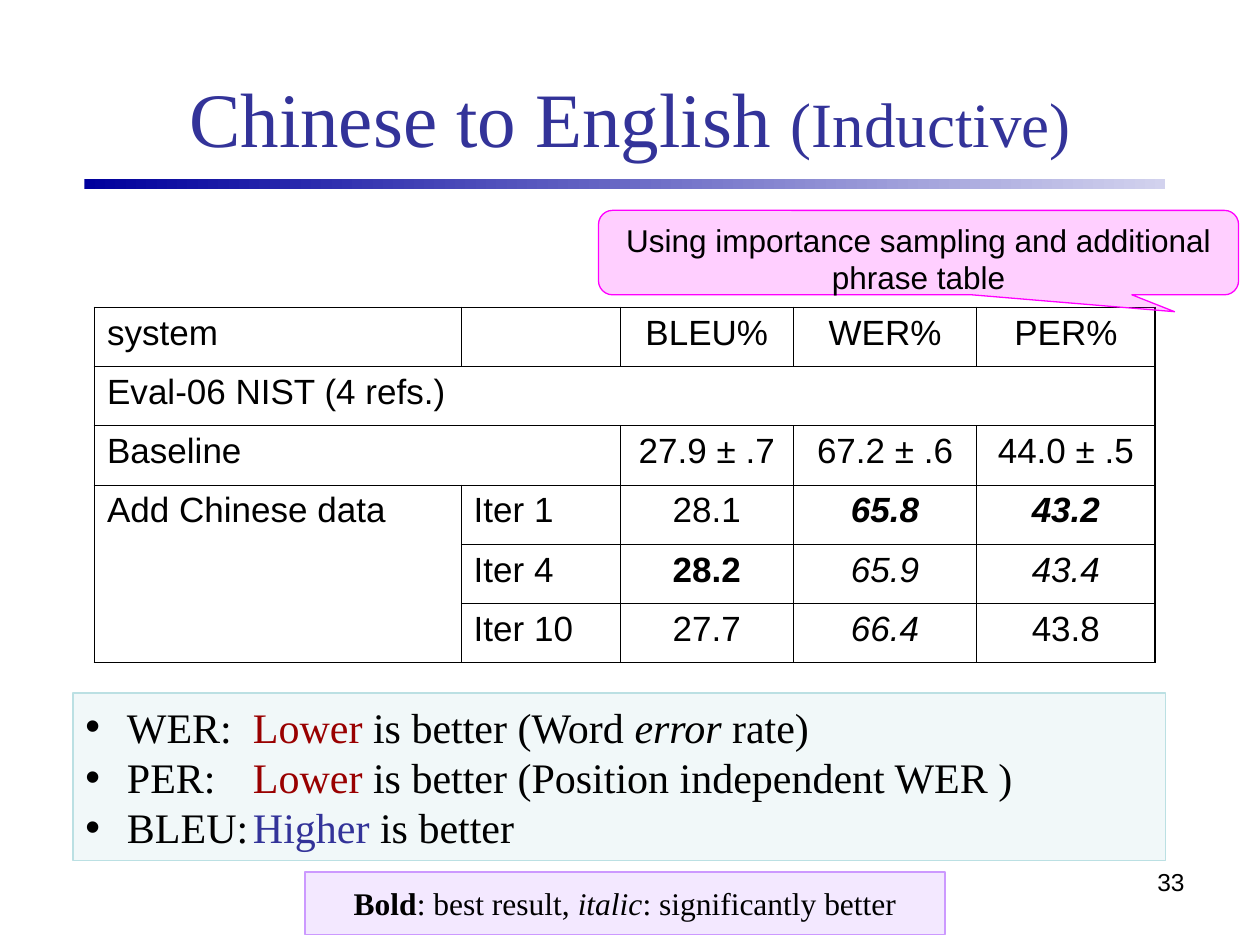
from lxml import etree
from pptx import Presentation, util as u
from pptx.dml.color import RGBColor
from pptx.enum import shapes, text
from pptx.oxml.ns import qn

PX = 9144  # EMU per px, 100 px to the inch
SERIF, SANS = "Times New Roman", "Arial"
BLACK, NAVY, RED = "000000", "333399", "990000"
LEFT, CENTER, RIGHT = text.PP_ALIGN.LEFT, text.PP_ALIGN.CENTER, text.PP_ALIGN.RIGHT
TOP, MIDDLE = text.MSO_ANCHOR.TOP, text.MSO_ANCHOR.MIDDLE


def px(*lengths):
    return [u.Emu(length * PX) for length in lengths]


def rgb(code):
    return RGBColor.from_string(code)


def element(parent, tag, **attributes):
    node = etree.SubElement(parent, qn(tag))
    for name, value in attributes.items():
        node.set(name, str(value))
    return node


def write(para, content, size=18, font=SANS, color=BLACK, align=LEFT, before=0):
    """Fill a paragraph from a string or a list of (text, overrides) pairs."""
    para.alignment = align
    para.space_before = u.Pt(before)
    runs = [(content, {})] if isinstance(content, str) else content
    for words, change in runs:
        span = para.add_run()
        span.text = words
        span.font.name = font
        span.font.size = u.Pt(change.get("size", size))
        span.font.color.rgb = rgb(change.get("color", color))
        span.font.bold = change.get("bold", False)
        span.font.italic = change.get("italic", False)


class SlideBuilder:
    def __init__(self, page):
        self.page = page

    def title(self, place, content):
        box = self.page.shapes.title
        box.left, box.top, box.width, box.height = px(*place)
        box.text_frame.vertical_anchor = MIDDLE
        write(box.text_frame.paragraphs[0], content, size=44, font=SERIF,
              color=NAVY, align=CENTER)

    def gradient_bar(self, place, start, end):
        bar = self.page.shapes.add_shape(shapes.MSO_SHAPE.RECTANGLE, *px(*place))
        bar.shadow.inherit = False
        bar.line.fill.background()
        bar.fill.gradient()
        bar.fill.gradient_angle = 0
        for stop, color in zip(bar.fill.gradient_stops, (start, end)):
            stop.color.rgb = rgb(color)

    def panel(self, place, color, opacity, kind=shapes.MSO_SHAPE.RECTANGLE,
              anchor=MIDDLE):
        """Tinted box with an outline in the same colour."""
        box = self.page.shapes.add_shape(kind, *px(*place))
        box.shadow.inherit = False
        box.fill.solid()
        box.fill.fore_color.rgb = rgb(color)
        tint = box.fill._xPr.find(qn("a:solidFill"))[0]
        element(tint, "a:alpha", val=opacity * 1000)
        box.line.color.rgb = rgb(color)
        box.line.width = u.Pt(0.75)
        box.text_frame.word_wrap = True
        box.text_frame.vertical_anchor = anchor
        return box

    def bullets(self, box, items, indent, tab, **style):
        frame = box.text_frame
        for index, item in enumerate(items):
            para = frame.add_paragraph() if index else frame.paragraphs[0]
            props = para._p.get_or_add_pPr()
            props.set("marL", str(indent * PX))
            props.set("indent", str(-indent * PX))
            element(props, "a:buFont", typeface=SANS)
            element(props, "a:buChar", char="•")
            stops = element(props, "a:tabLst")
            element(stops, "a:tab", pos=tab * PX, algn="l")
            write(para, item, **style)

    def label(self, place, content, **style):
        box = self.page.shapes.add_textbox(*px(*place))
        box.text_frame.word_wrap = True
        write(box.text_frame.paragraphs[0], content, **style)

    def table(self, left, top, widths, row_height, rows, merges):
        frame = self.page.shapes.add_table(
            len(rows), len(widths),
            *px(left, top, sum(widths), row_height * len(rows)))
        grid = frame.table
        grid.first_row = grid.horz_banding = False
        for column, width in zip(grid.columns, widths):
            column.width = px(width)[0]
        for first, last in merges:
            grid.cell(*first).merge(grid.cell(*last))
        for r, row in enumerate(rows):
            for c, content in enumerate(row):
                cell = grid.cell(r, c)
                cell.fill.background()
                self.borders(cell, r, c, len(rows), len(widths))
                if content:
                    write(cell.text_frame.paragraphs[0], content, size=20,
                          align=CENTER if c > 1 else LEFT, before=5)

    def borders(self, cell, r, c, row_count, column_count):
        """Heavier line on the outer edge of the table than inside it."""
        tall = cell.span_height if cell.is_merge_origin else 1
        wide = cell.span_width if cell.is_merge_origin else 1
        outer = {"L": c == 0, "R": c + wide == column_count,
                 "T": r == 0, "B": r + tall == row_count}
        props = cell._tc.get_or_add_tcPr()
        for index, (side, heavy) in enumerate(outer.items()):
            line = element(props, f"a:ln{side}", w=u.Pt(1.08 if heavy else 0.45))
            element(element(line, "a:solidFill"), "a:srgbClr", val=BLACK)
            props.insert(index, line)


def main():
    deck = Presentation()
    deck.slide_width, deck.slide_height = px(1000, 750)
    page = deck.slides.add_slide(deck.slide_layouts[5])
    build = SlideBuilder(page)
    bold, italic = {"bold": True}, {"italic": True}
    both = bold | italic

    # Heading and rule
    build.title((50, 30, 900, 125),
                [("Chinese to English ", {}), ("(Inductive)", {"size": 36})])
    build.gradient_bar((67, 142, 858, 8), "00009C", "D2D2EE")

    # Results
    rows = [
        ["system", "", "BLEU%", "WER%", "PER%"],
        ["Eval-06 NIST (4 refs.)", "", "", "", ""],
        ["Baseline", "", "27.9 ± .7", "67.2 ± .6", "44.0 ± .5"],
        ["Add Chinese data", "Iter 1", "28.1", [("65.8", both)], [("43.2", both)]],
        ["", "Iter 4", [("28.2", bold)], [("65.9", italic)], [("43.4", italic)]],
        ["", "Iter 10", "27.7", [("66.4", italic)], "43.8"],
    ]
    build.table(75, 244, [291, 126, 138, 145, 142], 47, rows,
                merges=[((1, 0), (1, 4)), ((2, 0), (2, 1)), ((3, 0), (5, 0))])

    # How to read the metrics
    lower, higher = ("Lower", {"color": RED}), ("Higher", {"color": NAVY})
    metrics = build.panel((58, 550, 867, 133), "BBE0E3", 20)
    build.bullets(metrics, [
        [("WER:\t", {}), lower, (" is better (Word ", {}), ("error", italic),
         (" rate)", {})],
        [("PER:\t", {}), lower, (" is better (Position independent WER )", {})],
        [("BLEU:\t", {}), higher, (" is better", {})],
    ], indent=33, tab=133, size=24, font=SERIF)

    # Legend for the type styles
    legend = build.panel((242, 692, 508, 50), "CC99FF", 22)
    write(legend.text_frame.paragraphs[0],
          [("Bold", bold), (": best result, ", {}), ("italic", italic),
           (": significantly better", {})], font=SERIF, align=CENTER)

    # Callout on the results
    callout = build.panel((475, 167, 508, 67), "FF00FF", 19,
                          shapes.MSO_SHAPE.ROUNDED_RECTANGULAR_CALLOUT, TOP)
    callout.adjustments[0], callout.adjustments[1] = 0.4, 0.7
    write(callout.text_frame.paragraphs[0],
          "Using importance sampling and additional phrase table", align=CENTER)

    # Page number
    build.label((717, 683, 233, 52), "33", size=14, align=RIGHT)

    deck.save("out.pptx")


if __name__ == "__main__":
    main()
